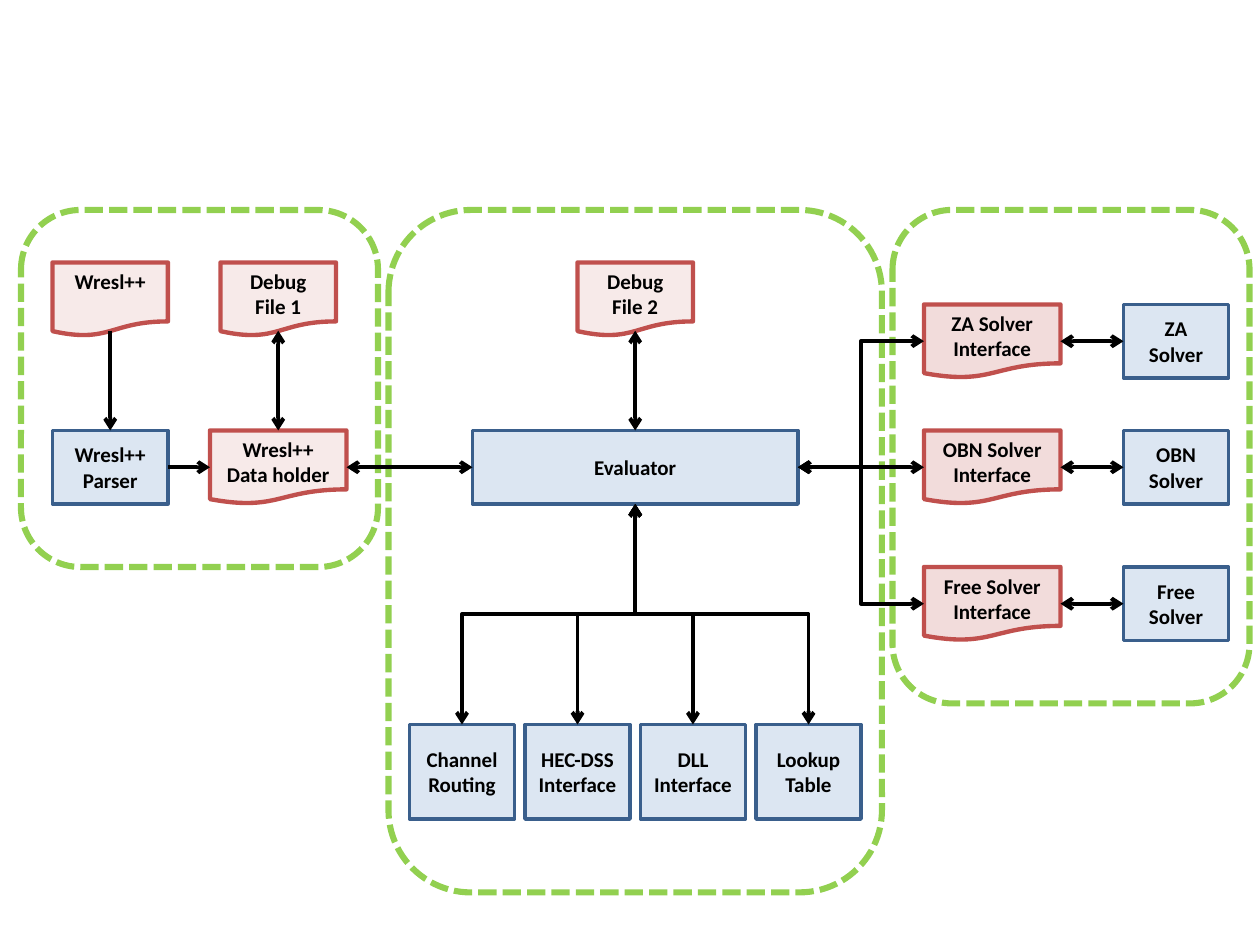
from pptx import Presentation
from pptx.dml.color import RGBColor
from pptx.enum.dml import MSO_LINE
from pptx.enum.shapes import MSO_CONNECTOR as LINK, MSO_SHAPE as SHAPE
from pptx.enum.text import MSO_ANCHOR as ANCHOR, PP_ALIGN as ALIGN
from pptx.oxml.ns import qn
from pptx.util import Inches, Pt
from lxml.etree import SubElement

THEME = {
    "font": {"name": "Calibri", "size": Pt(12), "bold": True},
    "ink": "000000",
    "link_width": 2.25,
    "group": {"shape": SHAPE.ROUNDED_RECTANGLE, "line": "92D050", "width": 3.5},
    "process": {"shape": SHAPE.FLOWCHART_PROCESS, "fill": "DCE6F2",
                "line": "3A5F8C", "width": 2, "anchor": ANCHOR.MIDDLE},
    "document": {"shape": SHAPE.FLOWCHART_DOCUMENT, "fill": "F2DCDB",
                 "line": "C0504D", "width": 2.5, "anchor": ANCHOR.TOP},
}
THEME["file"] = THEME["document"] | {"alpha": 60}

# Content; places are left, top, width, height in twelfths of an inch
GROUPS = [(85, 20, 34, 47), (37, 20, 47, 65), (2, 20, 34, 34)]
NODES = {
    "source": ("file", "Wresl++", (5, 25, 11, 7)),
    "parser": ("process", "Wresl++ Parser", (5, 41, 11, 7)),
    "debug 1": ("file", "Debug File 1", (21, 25, 11, 7)),
    "holder": ("file", "Wresl++\nData holder", (20, 41, 13, 7)),
    "debug 2": ("file", "Debug File 2", (55, 25, 11, 7)),
    "evaluator": ("process", "Evaluator", (45, 41, 31, 7)),
}
TOOLS = ["Channel Routing", "HEC-DSS Interface", "DLL Interface", "Lookup Table"]
SOLVERS = [("ZA Solver", 29), ("OBN Solver", 41), ("Free Solver", 54)]
DOWN_LINKS = [("source", "parser", False), ("debug 1", "holder", True),
              ("debug 2", "evaluator", True)]
ACROSS_LINKS = [("parser", "holder", False), ("holder", "evaluator", True)]

# Repeated rows of tools and solvers
for column, tool in enumerate(TOOLS):
    NODES[tool] = ("process", tool, (39 + 11 * column, 69, 10, 9))
    DOWN_LINKS.append(("evaluator", tool, True))
for solver, top in SOLVERS:
    interface = f"{solver} Interface"
    NODES[interface] = ("document", interface, (88, top, 13, 7))
    NODES[solver] = ("process", solver, (107, top, 10, 7))
    ACROSS_LINKS += [("evaluator", interface, True), (interface, solver, True)]

deck = Presentation()
deck.slide_width, deck.slide_height = Inches(10), Inches(7.5)
page = deck.slides.add_slide(deck.slide_layouts[6])


def grid(*units):
    return [Inches(unit / 12) for unit in units]


def add_box(kind, place, text=""):
    style = THEME[kind]
    box = page.shapes.add_shape(style["shape"], *grid(*place))
    box.shadow.inherit = False
    box.line.color.rgb = RGBColor.from_string(style["line"])
    box.line.width = Pt(style["width"])
    if "fill" not in style:
        box.fill.background()
        box.line.dash_style = MSO_LINE.SQUARE_DOT
        return
    box.fill.solid()
    box.fill.fore_color.rgb = RGBColor.from_string(style["fill"])
    if "alpha" in style:
        color = box._element.spPr.find(qn("a:solidFill"))[0]
        SubElement(color, qn("a:alpha"), val=str(style["alpha"] * 1000))
    frame = box.text_frame
    frame.word_wrap = True
    frame.vertical_anchor = style["anchor"]
    frame.text = text
    for para in frame.paragraphs:
        para.alignment = ALIGN.CENTER
        for span in para.runs:
            for name, value in THEME["font"].items():
                setattr(span.font, name, value)
            span.font.color.rgb = RGBColor.from_string(THEME["ink"])


def add_link(start, end, both, down):
    (x1, y1), (x2, y2) = start, end
    kind = LINK.STRAIGHT if x1 == x2 or y1 == y2 else LINK.ELBOW
    turn = 0
    if kind == LINK.ELBOW and down:
        # A vertical elbow is a horizontal one turned about its centre
        side = 1 if x2 < x1 else -1
        middle_x, middle_y = (x1 + x2) / 2, (y1 + y2) / 2
        reach, rise = side * (y2 - y1) / 2, abs(x2 - x1) / 2
        x1, x2 = middle_x - reach, middle_x + reach
        y1, y2 = middle_y - rise, middle_y + rise
        turn = side * 90 % 360
    link = page.shapes.add_connector(kind, *grid(x1, y1, x2, y2))
    link.line.color.rgb = RGBColor.from_string(THEME["ink"])
    link.line.width = Pt(THEME["link_width"])
    props = link._element.spPr
    if turn:
        props.find(qn("a:xfrm")).set("rot", str(turn * 60000))
    for tip in ["headEnd", "tailEnd"] if both else ["tailEnd"]:
        SubElement(props.find(qn("a:ln")), qn(f"a:{tip}"), type="arrow")
    SubElement(props, qn("a:effectLst"))


# Group outlines, then boxes
for place in GROUPS:
    add_box("group", place)
for kind, text, place in NODES.values():
    add_box(kind, place, text)

# Arrows from bottom to top; a document's wavy edge sits half a unit higher
for first, last, both in DOWN_LINKS:
    kind, _, (left, top, width, height) = NODES[first]
    target_left, target_top, target_width, _ = NODES[last][2]
    bottom = top + height - (0.5 if kind == "file" else 0)
    add_link((left + width / 2, bottom),
             (target_left + target_width / 2, target_top), both, down=True)

# Arrows from right side to left side
for first, last, both in ACROSS_LINKS:
    left, top, width, height = NODES[first][2]
    target_left, target_top, _, target_height = NODES[last][2]
    add_link((left + width, top + height / 2),
             (target_left, target_top + target_height / 2), both, down=False)

deck.save("out.pptx")
